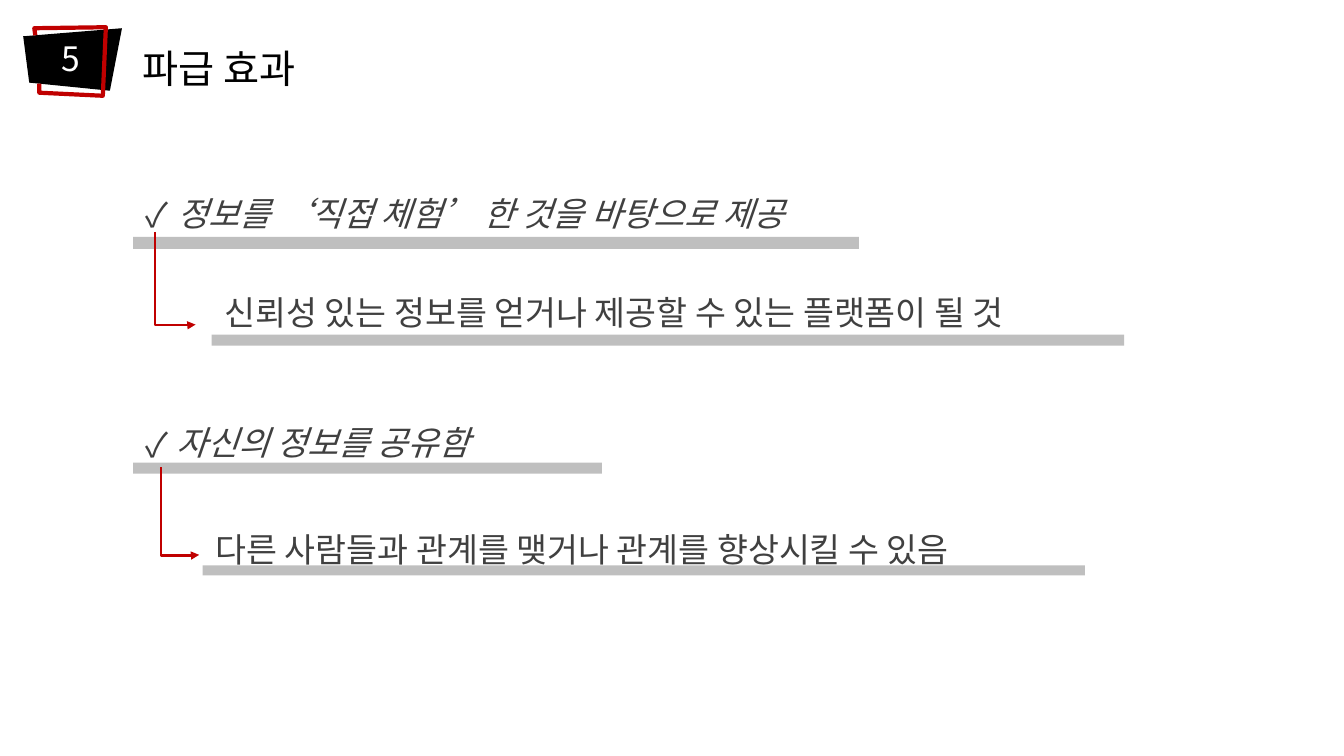
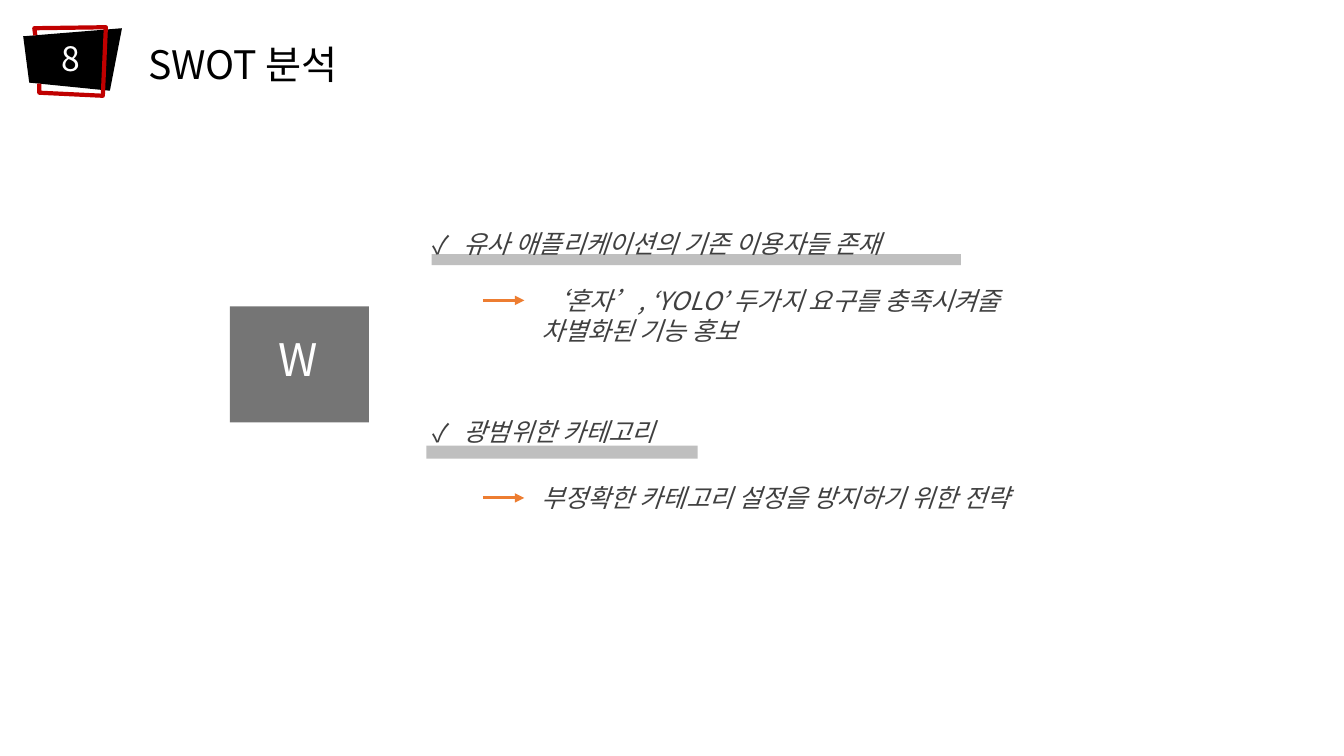
from lxml import etree
from pptx import Presentation
from pptx.dml.color import RGBColor
from pptx.enum.shapes import MSO_CONNECTOR, MSO_SHAPE
from pptx.enum.text import MSO_AUTO_SIZE
from pptx.oxml.ns import qn
from pptx.util import Emu, Pt

PX = 9144
FONT = "Noto Sans CJK KR"
BLACK, WHITE, RED, ORANGE = "000000", "FFFFFF", "C00000", "ED7D31"
BAR_GREY, TEXT_GREY = "BFBFBF", "404040"
RECTANGLE = MSO_SHAPE.RECTANGLE
STRAIGHT, ELBOW = MSO_CONNECTOR.STRAIGHT, MSO_CONNECTOR.ELBOW
GROW = MSO_AUTO_SIZE.SHAPE_TO_FIT_TEXT

TITLE = {"size": 28, "color": BLACK}
NUMBER = {"size": 24, "color": WHITE}
LETTER = {"size": 32, "color": WHITE}
POINT = {"size": 24, "color": TEXT_GREY, "italic": True}
RESULT = {"size": 24, "color": TEXT_GREY}
SMALL_POINT = {"size": 18, "color": TEXT_GREY, "italic": True}


def px(length):
    """Turn px into EMU."""
    return Emu(length * PX)


def rgb(value):
    """Turn a hex string into a colour."""
    return RGBColor.from_string(value)


def add_text(slide, box, text, style, wrap=True, spacing=None, check=False):
    """Write one paragraph into a text box."""
    text_box = slide.shapes.add_textbox(*map(px, box))
    frame = text_box.text_frame
    frame.word_wrap = wrap
    frame.auto_size = GROW
    paragraph = frame.paragraphs[0]
    if spacing:
        paragraph.line_spacing = spacing
    if check:
        properties = paragraph._p.get_or_add_pPr()
        properties.set("marL", str(px(31)))
        properties.set("indent", str(-px(31)))
        etree.SubElement(properties, qn("a:buFont")).set("typeface", FONT)
        etree.SubElement(properties, qn("a:buChar")).set("char", "✓")
    run = paragraph.add_run()
    run.text = text
    formats = {"name": FONT, "size": Pt(style["size"]), "italic": style.get("italic")}
    for key, value in formats.items():
        setattr(run.font, key, value)
    run.font.color.rgb = rgb(style["color"])
    etree.SubElement(run._r.get_or_add_rPr(), qn("a:ea")).set("typeface", FONT)


def paint(shape, fill=None, line=None, width=0, alpha=None):
    """Set fill, outline and opacity of a shape."""
    shape.shadow.inherit = False
    if fill:
        shape.fill.solid()
        shape.fill.fore_color.rgb = rgb(fill)
    else:
        shape.fill.background()
    if line:
        shape.line.color.rgb = rgb(line)
        shape.line.width = Pt(width)
    else:
        shape.line.fill.background()
    if alpha:
        color = shape._element.spPr.find(qn("a:solidFill"))[0]
        etree.SubElement(color, qn("a:alpha")).set("val", str(alpha * 1000))


def add_rectangle(slide, box, fill, alpha=None):
    """Draw a plain filled rectangle."""
    paint(slide.shapes.add_shape(RECTANGLE, *map(px, box)), fill, alpha=alpha)


def add_outline(slide, left, top, points, close, **look):
    """Draw a polygon or open path whose points are relative to a corner."""
    path = [(left + x, top + y) for x, y in points]
    builder = slide.shapes.build_freeform(*path[0], scale=PX)
    builder.add_line_segments(path[1:], close=close)
    paint(builder.convert_to_shape(), **look)


def add_arrow(slide, kind, start, end, color, width):
    """Draw a connector with a triangle at its end."""
    arrow = slide.shapes.add_connector(kind, *map(px, start + end))
    arrow.line.color.rgb = rgb(color)
    arrow.line.width = Pt(width)
    etree.SubElement(arrow.line._get_or_add_ln(), qn("a:tailEnd")).set("type", "triangle")
    etree.SubElement(arrow._element.spPr, qn("a:effectLst"))
    return arrow


def add_down_right_arrow(slide, left, top, run, drop):
    """Draw an arrow that goes down and then right."""
    middle_x, middle_y = left + run // 2, top + drop // 2
    x, y = middle_x - drop // 2, middle_y - run // 2
    arrow = add_arrow(slide, ELBOW, (x + drop, y), (x, y + run), RED, 1.5)
    properties = arrow._element.spPr
    properties.find(qn("a:xfrm")).set("rot", "16200000")
    adjustments = properties.find(qn("a:prstGeom")).find(qn("a:avLst"))
    bend = etree.SubElement(adjustments, qn("a:gd"))
    bend.set("name", "adj1")
    bend.set("fmla", "val 100700")


def add_badge(slide, number, left=23, top=27):
    """Draw the section number on its black and red badge."""
    plate = [(0, 9), (6, 55), (86, 63), (98, 1)]
    frame = [(12, 8), (11, 1), (82, 0), (79, 68), (16, 65), (16, 56)]
    add_outline(slide, left, top, plate, True, fill=BLACK)
    add_outline(slide, left, top, frame, False, line=RED, width=3)
    add_text(slide, (left + 28, top + 6, 37, 50), number, NUMBER, wrap=False)


def add_underlined(slide, text_box, bar, text, style, check=False):
    """Write a line of text over a grey bar given relative to its box."""
    left, top, width, height = text_box
    shift_x, shift_y, thickness = bar
    add_rectangle(slide, (left + shift_x, top + shift_y, width, thickness), BAR_GREY)
    add_text(slide, (left, top, width, height), text, style, check=check)


def add_answer(slide, left, top, width, height, text):
    """Write an answer after an orange arrow."""
    add_arrow(slide, STRAIGHT, (left, top + 20), (left + 41, top + 20), ORANGE, 2.25)
    add_text(slide, (left + 48, top, width, height), text, SMALL_POINT)


def build_effects(slide):
    """Build the slide on ripple effects."""
    add_badge(slide, "5")
    add_text(slide, (132, 16, 657, 74), "파급 효과", TITLE, spacing=1.5)
    add_underlined(slide, (135, 186, 720, 76), (-3, 49, 12),
                   "정보를 ‘직접 체험’ 한 것을 바탕으로 제공", POINT, check=True)
    add_underlined(slide, (134, 414, 465, 71), (-2, 45, 11),
                   "자신의 정보를 공유함", POINT, check=True)
    add_down_right_arrow(slide, 154, 230, 40, 92)
    add_underlined(slide, (213, 285, 905, 68), (-3, 47, 11),
                   "신뢰성 있는 정보를 얻거나 제공할 수 있는 플랫폼이 될 것", RESULT)
    add_down_right_arrow(slide, 159, 464, 38, 87)
    add_underlined(slide, (204, 520, 875, 64), (-3, 41, 10),
                   "다른 사람들과 관계를 맺거나 관계를 향상시킬 수 있음", RESULT)


def build_weaknesses(slide):
    """Build the slide on weaknesses in the SWOT analysis."""
    add_badge(slide, "8")
    add_text(slide, (137, 35, 229, 57), "SWOT 분석", TITLE, wrap=False)
    add_rectangle(slide, (228, 304, 138, 115), BLACK, alpha=54)
    add_text(slide, (266, 324, 71, 64), "W", LETTER)
    add_underlined(slide, (419, 222, 525, 71), (9, 30, 11),
                   "유사 애플리케이션의 기존 이용자들 존재", SMALL_POINT, check=True)
    add_underlined(slide, (419, 408, 269, 46), (4, 34, 13),
                   "광범위한 카테고리", SMALL_POINT, check=True)
    add_answer(slide, 479, 474, 552, 40, "부정확한 카테고리 설정을 방지하기 위한 전략")
    add_answer(slide, 479, 278, 516, 71,
               "‘혼자’, ‘YOLO’ 두가지 요구를 충족시켜줄 차별화된 기능 홍보")


def main():
    """Build and save the slides."""
    deck = Presentation()
    deck.slide_width, deck.slide_height = px(1333), px(750)
    blank = deck.slide_layouts[6]
    for build in (build_effects, build_weaknesses):
        build(deck.slides.add_slide(blank))
    deck.save("out.pptx")


if __name__ == "__main__":
    main()
